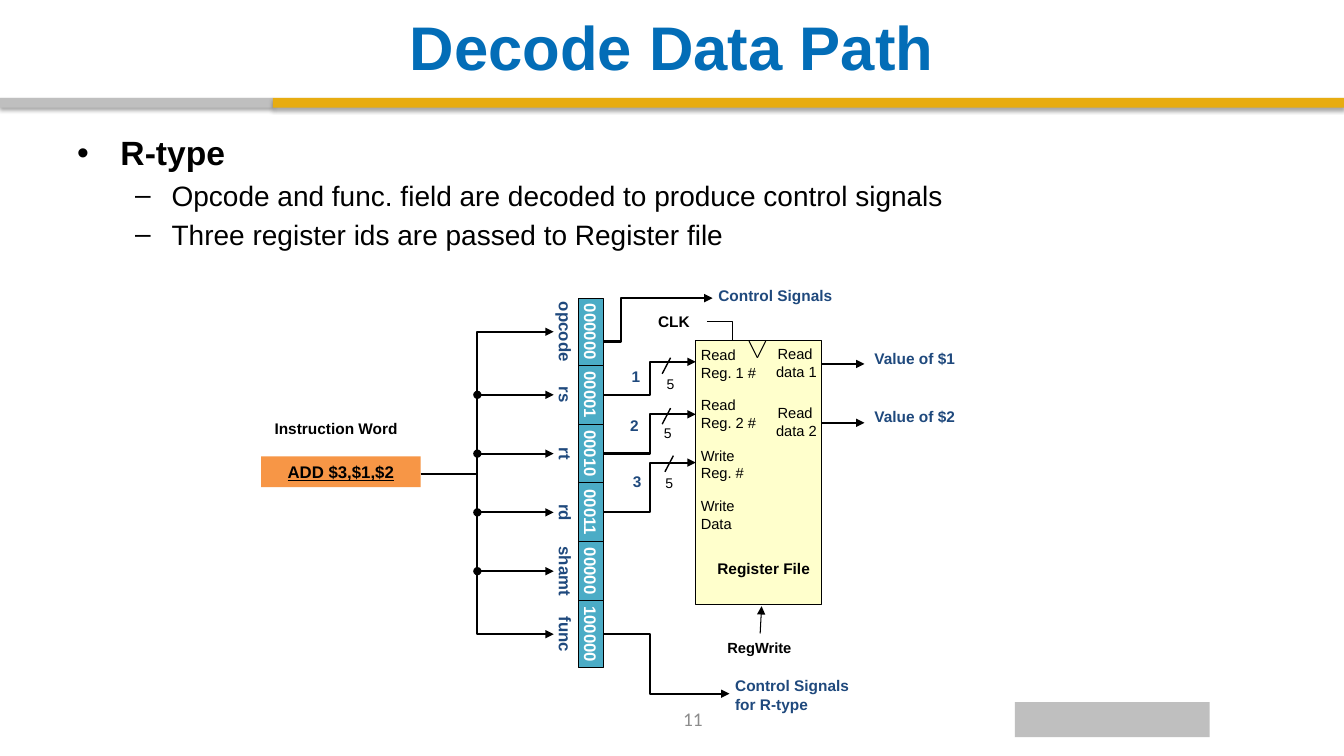
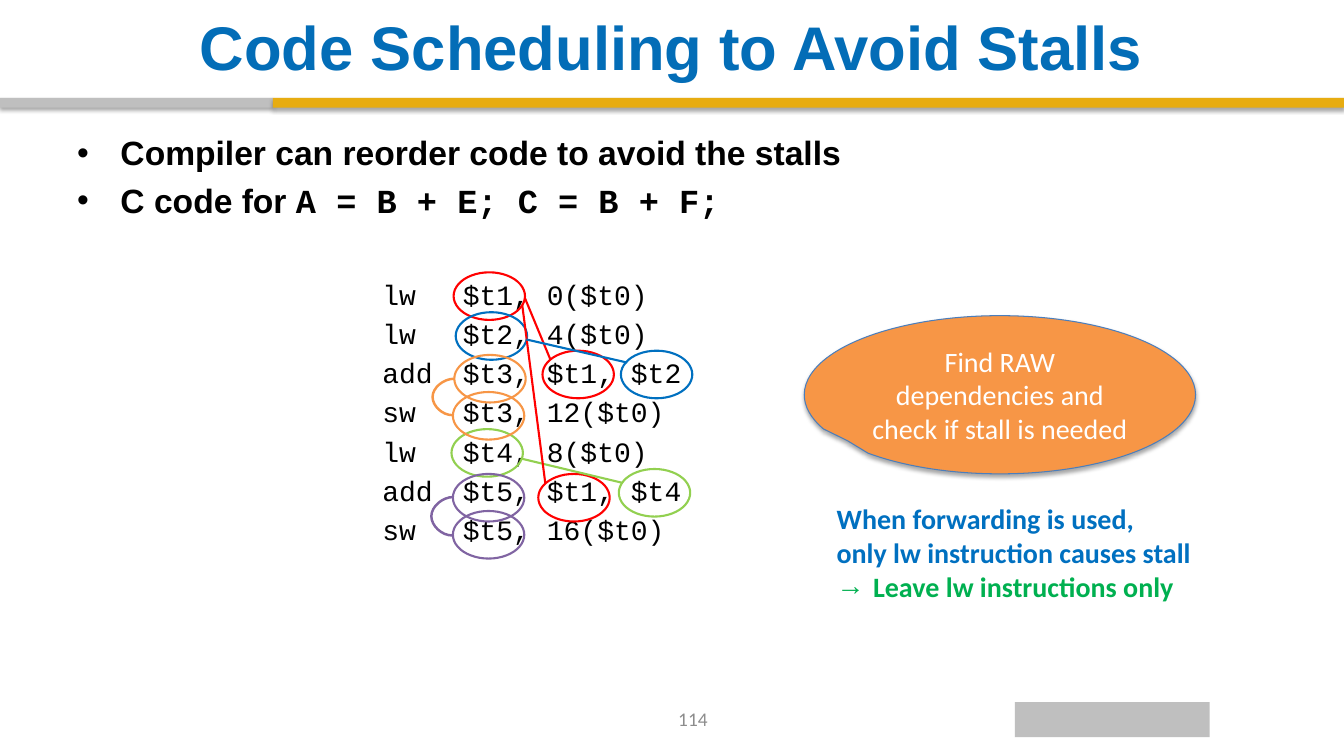
from dataclasses import dataclass
from typing import Any

from pptx import Presentation
from pptx.dml.color import RGBColor
from pptx.enum.shapes import MSO_CONNECTOR, MSO_SHAPE
from pptx.enum.text import MSO_ANCHOR, PP_ALIGN
from pptx.oxml import parse_xml
from pptx.oxml.ns import nsdecls, qn
from pptx.util import Pt

BLUE, GOLD, GREY = "036DB7", "E7AC11", "BFBFBF"
BLACK, WHITE, NAVY = "000000", "FFFFFF", "1F497D"
ORANGE, TEAL, CREAM, SKY = "F79646", "4BACC6", "FFFFCC", "0070C0"
RED, LIME, PURPLE, GREEN = "FF0000", "92D050", "8064A2", "00B050"
PAGE_NUMBER = "8C8C8C"
CENTER, RIGHT = PP_ALIGN.CENTER, PP_ALIGN.RIGHT


def color(hex_string):
    return RGBColor.from_string(hex_string)


def element(tag, attributes="", inner=""):
    return parse_xml(f"<a:{tag} {nsdecls('a')} {attributes}>{inner}</a:{tag}>")


def write_line(para, text, size, hue=BLACK, font="Arial", bold=False, align=None,
               before=0, bullet=None, indent=(0, 0), tab=None):
    para.text = text
    props = para._p.get_or_add_pPr()
    if bullet:
        margin, hanging = indent
        props.set("marL", str(Pt(margin)))
        props.set("indent", str(-Pt(hanging)))
        props.append(element("buFont", 'typeface="Arial"'))
        props.append(element("buChar", f'char="{bullet}"'))
    if tab:
        props.append(element("tabLst", "", f'<a:tab pos="{Pt(tab)}" algn="l"/>'))
    para.alignment = align
    if before:
        para.space_before = Pt(before)
    para.font.size, para.font.name, para.font.bold = Pt(size), font, bold
    para.font.color.rgb = color(hue)


def paragraphs(frame, count):
    return [frame.paragraphs[0]] + [frame.add_paragraph() for _ in range(count - 1)]


def write(box, lines, size, gap=0, **look):
    for index, para in enumerate(paragraphs(box.text_frame, len(lines))):
        write_line(para, lines[index], size, before=gap if index else 0, **look)


def cast_shadow(shape):
    tint = '<a:srgbClr val="000000"><a:alpha val="35000"/></a:srgbClr>'
    attributes = f'blurRad="{Pt(3.1)}" dist="{Pt(1.8)}" dir="5400000" rotWithShape="0"'
    effects = shape.element.spPr.find(qn("a:effectLst"))
    effects.append(element("outerShdw", attributes, tint))


@dataclass
class Region:
    page: Any
    left: float = 0
    top: float = 0

    def inside(self, left, top):
        return Region(self.page, self.left + left, self.top + top)

    def place(self, left, top):
        return Pt(self.left + left), Pt(self.top + top)

    def text(self, left, top, width, height, inset=(7.2, 3.6), anchor=MSO_ANCHOR.TOP,
             wrap=True):
        box = self.page.shapes.add_textbox(*self.place(left, top), Pt(width), Pt(height))
        frame = box.text_frame
        frame.word_wrap, frame.vertical_anchor = wrap, anchor
        frame.margin_left = frame.margin_right = Pt(inset[0])
        frame.margin_top = frame.margin_bottom = Pt(inset[1])
        return box

    def label(self, text, left, top, width, height=21, size=11, inset=(7.2, 3.6), **look):
        write(self.text(left, top, width, height, inset), [text], size, **look)

    def shape(self, left, top, width, height, fill=None, line=None, weight=0.75,
              kind=MSO_SHAPE.RECTANGLE):
        shape = self.page.shapes.add_shape(kind, *self.place(left, top),
                                           Pt(width), Pt(height))
        shape.shadow.inherit = False
        if fill:
            shape.fill.solid()
            shape.fill.fore_color.rgb = color(fill)
        else:
            shape.fill.background()
        if line:
            shape.line.color.rgb = color(line)
            shape.line.width = Pt(weight)
        else:
            shape.line.fill.background()
        return shape

    def line(self, start, end, hue=BLACK, weight=1.5, head=None, tail=None, via=None,
             kind=MSO_CONNECTOR.STRAIGHT):
        wire = self.page.shapes.add_connector(kind, *self.place(*start), *self.place(*end))
        wire.line.color.rgb = color(hue)
        wire.line.width = Pt(weight)
        props = wire.element.spPr
        if via is not None:
            bend = round((via - start[0]) / (end[0] - start[0]) * 100000)
            guides = props.find(qn("a:prstGeom")).get_or_add_avLst()
            guides.append(element("gd", f'name="adj1" fmla="val {bend}"'))
        for tag, style in (("headEnd", head), ("tailEnd", tail)):
            if style:
                props.find(qn("a:ln")).append(element(tag, f'type="{style}"'))
        props.append(element("effectLst"))

    def elbow(self, start, via, end, **look):
        self.line(start, end, via=via, kind=MSO_CONNECTOR.ELBOW, **look)


def draw_frame(region, title, number):
    for left, width, fill in ((0, 195, GREY), (195, 765, GOLD)):
        cast_shadow(region.shape(left, 70, width, 7, fill))
    heading = region.text(48, 5.5, 864, 54.5, anchor=MSO_ANCHOR.MIDDLE)
    write(heading, [title], 44, hue=BLUE, bold=True, align=CENTER)
    footer = region.inside(383, 495.5)
    page_number = footer.text(0, 3.5, 224, 29, anchor=MSO_ANCHOR.MIDDLE)
    write(page_number, [number], 13.8, hue=PAGE_NUMBER, font="Calibri", align=CENTER)
    footer.shape(342, 6, 139, 25, GREY)


def draw_bullets(region, items):
    frame = region.text(0, 0, 864, 391).text_frame
    for index, para in enumerate(paragraphs(frame, len(items))):
        level, text = items[index]
        para.level = level
        look = (dict(size=20, bullet="–", indent=(67.5, 26)) if level
                else dict(size=24, bold=True, bullet="•", indent=(31, 31)))
        write_line(para, text, before=(5 - level) if index else 0, **look)
    return frame


def draw_fields(region):
    fields = (("opcode", "000000", 48), ("rs", "00001", 42), ("rt", "00010", 42),
              ("rd", "00011", 42), ("shamt", "00000", 42), ("func", "100000", 48))
    top, centers = 0, {}
    for name, value, span in fields:
        middle = centers[name] = top + span / 2
        cell = region.shape(27 - span / 2, middle - 9, span, 18, TEAL, BLACK)
        cell.text_frame.word_wrap = False
        cell.text_frame.vertical_anchor = MSO_ANCHOR.MIDDLE
        tag = region.text(9 - span / 2, middle - 9, span, 18, inset=(0, 0),
                          anchor=MSO_ANCHOR.MIDDLE, wrap=False)
        for box, text, hue in ((cell, value, WHITE), (tag, name, NAVY)):
            box.rotation = 90
            write(box, [text], 12, hue=hue, bold=True, align=CENTER)
        top += span
    return centers


def draw_register_file(region):
    region.shape(0, 0, 90, 188.5, CREAM, BLACK)
    small = dict(height=32, size=10.5, inset=(3.6, 3.6))
    ports = ("Read \nReg. 1 #", "Read \nReg. 2 #", "Write\nReg. #", "Write \nData")
    for index, port in enumerate(ports):
        region.label(port, 0, 36 * index, 60, **small)
    for index in range(2):
        drop = 42 * index
        region.label(f"Read \ndata {index + 1}", 48, drop - 0.5, 42, align=RIGHT, **small)
        region.line((90, drop + 16.5), (120.5, drop + 16.5), tail="triangle")
        region.label(f"Value of ${index + 1}", 120.5, drop + 2, 96, hue=NAVY, bold=True)
    region.label("Register File", 3.5, 152.5, 90, bold=True, align=CENTER)
    region.label("CLK", -34, -24, 42, bold=True)
    region.elbow((8, -13.5), 26, (43, 0), weight=0.75)
    for corner in (38, 50):
        region.line((corner, 0), (44, 12), weight=0.75)
    region.label("RegWrite", 15, 209, 61, 20, 10.5, (3.6, 3.6), bold=True, align=CENTER)
    region.line((46, 209), (47, 189.5), weight=0.75, tail="triangle")


def draw_instruction(region, centers):
    region.label("Instruction Word", 3, 98, 112, bold=True)
    word = region.shape(0.5, 128, 114, 22, ORANGE)
    write(word, ["ADD $3,$1,$2"], 12, bold=True, align=CENTER)
    word.text_frame.paragraphs[0].font.underline = True
    bus, tip = 155, 209.5
    region.elbow((114.5, 140.5), bus, (tip, centers["opcode"]), tail="triangle")
    region.elbow((bus, 137.5), bus, (tip, centers["func"]), tail="triangle")
    for name in ("rs", "rt", "rd", "shamt"):
        region.line((bus, centers[name]), (tip, centers[name]), head="oval", tail="triangle")


def draw_operands(region, centers):
    operands = (("1", "rs", 60.5, (258, 60.5), (281, 67), (287, 69)),
                ("2", "rt", 98, (257, 96), (279, 102), (287, 105)),
                ("3", "rd", 132.5, (259, 135.5), (280, 137.5), (289, 139)))
    for digit, field, port, digit_at, width_at, slash in operands:
        region.elbow((245, centers[field]), 278, (311, port), tail="triangle")
        region.line(slash, (slash[0] + 6, slash[1] - 11.5), weight=1)
        region.label(digit, *digit_at, 24, hue=NAVY, bold=True)
        region.label("5", *width_at, 24, 19, 10, (2, 3.6), align=CENTER)


def draw_data_path(region):
    draw_register_file(region.inside(311, 45.5))
    offsets = draw_fields(region.inside(209, 15))
    centers = {name: 15 + middle for name, middle in offsets.items()}
    draw_instruction(region, centers)
    draw_operands(region, centers)
    region.elbow((245, 46), 257.5, (323, 15), tail="triangle")
    region.label("Control Signals", 320, 3, 183, hue=NAVY, bold=True)
    region.elbow((245, centers["func"]), 278, (335, 297.5), tail="triangle")
    region.label("Control Signals for R-type", 332, 281.5, 112, 34, hue=NAVY, bold=True)


def draw_code(region):
    lines = ["lw\t$t1, 0($t0)", "lw\t$t2, 4($t0)", "add\t$t3, $t1, $t2",
             "sw\t$t3, 12($t0)", "lw\t$t4, 8($t0)", "add\t$t5, $t1, $t4",
             "sw\t$t5, 16($t0)"]
    write(region.text(0, 0.5, 235, 206), lines, 20, gap=4, font="Courier New", tab=57.5)
    rings = ((LIME, ((56.5, 112.5), (176, 141))),
             (RED, ((58, 0.5), (121.5, 56.5), (118.5, 144.5))),
             (SKY, ((59.5, 29), (177.5, 56.5))),
             (ORANGE, ((58.5, 59.5), (57.5, 86))),
             (PURPLE, ((57.5, 144.5), (57.5, 171))))
    for hue, corners in rings:
        for corner in corners:
            region.shape(*corner, 51, 34, line=hue, weight=1.5, kind=MSO_SHAPE.OVAL)
    links = ((LIME, (106, 133.5), (179, 151)), (RED, (109, 19), (127, 62.5)),
             (RED, (107, 23.5), (123.5, 151)), (SKY, (110, 48.5), (182, 65)))
    for hue, start, end in links:
        region.line(start, end, hue)
    loops = ((ORANGE, (58.5, 76.5), 43, (57, 102.5)), (PURPLE, (58, 161), 42, (57, 188.5)))
    for hue, start, via, end in loops:
        region.line(start, end, hue, 1.75, via=via, kind=MSO_CONNECTOR.CURVE)


def draw_advice(region):
    callout = region.shape(0, 0, 279.5, 113, ORANGE, "4B7EBC",
                           kind=MSO_SHAPE.OVAL_CALLOUT)
    callout.adjustments[0], callout.adjustments[1] = -0.39, 0.29
    cast_shadow(callout)
    callout.text_frame.word_wrap = True
    callout.text_frame.vertical_anchor = MSO_ANCHOR.MIDDLE
    write(callout, ["Find RAW dependencies and check if stall is needed"], 20,
          hue=WHITE, font="Calibri", align=CENTER)
    note = region.text(16, 129.5, 290, 80)
    look = dict(size=20, font="Calibri", bold=True)
    write(note, ["When forwarding is used,", "only lw instruction causes stall"],
          hue=SKY, **look)
    write_line(note.text_frame.add_paragraph(), "Leave lw instructions only", hue=GREEN,
               bullet="→", indent=(26, 26), **look)


def add_data_path_page(deck):
    region = Region(deck.slides.add_slide(deck.slide_layouts[6]))
    draw_frame(region, "Decode Data Path", "11")
    draw_bullets(region.inside(48, 91), (
        (0, "R-type"),
        (1, "Opcode and func. field are decoded to produce control signals"),
        (1, "Three register ids are passed to Register file")))
    draw_data_path(region.inside(186, 198))


def add_scheduling_page(deck):
    region = Region(deck.slides.add_slide(deck.slide_layouts[6]))
    draw_frame(region, "Code Scheduling to Avoid Stalls", "114")
    frame = draw_bullets(region.inside(48, 91), (
        (0, "Compiler can reorder code to avoid the stalls"), (0, "C code for ")))
    span = frame.paragraphs[1].add_run()
    span.text, span.font.name = "A = B + E; C = B + F;", "Courier New"
    draw_code(region.inside(266, 194))
    draw_advice(region.inside(574.5, 225.5))


def main():
    deck = Presentation()
    deck.slide_width, deck.slide_height = Pt(960), Pt(540)
    add_data_path_page(deck)
    add_scheduling_page(deck)
    deck.save("out.pptx")


if __name__ == "__main__":
    main()
